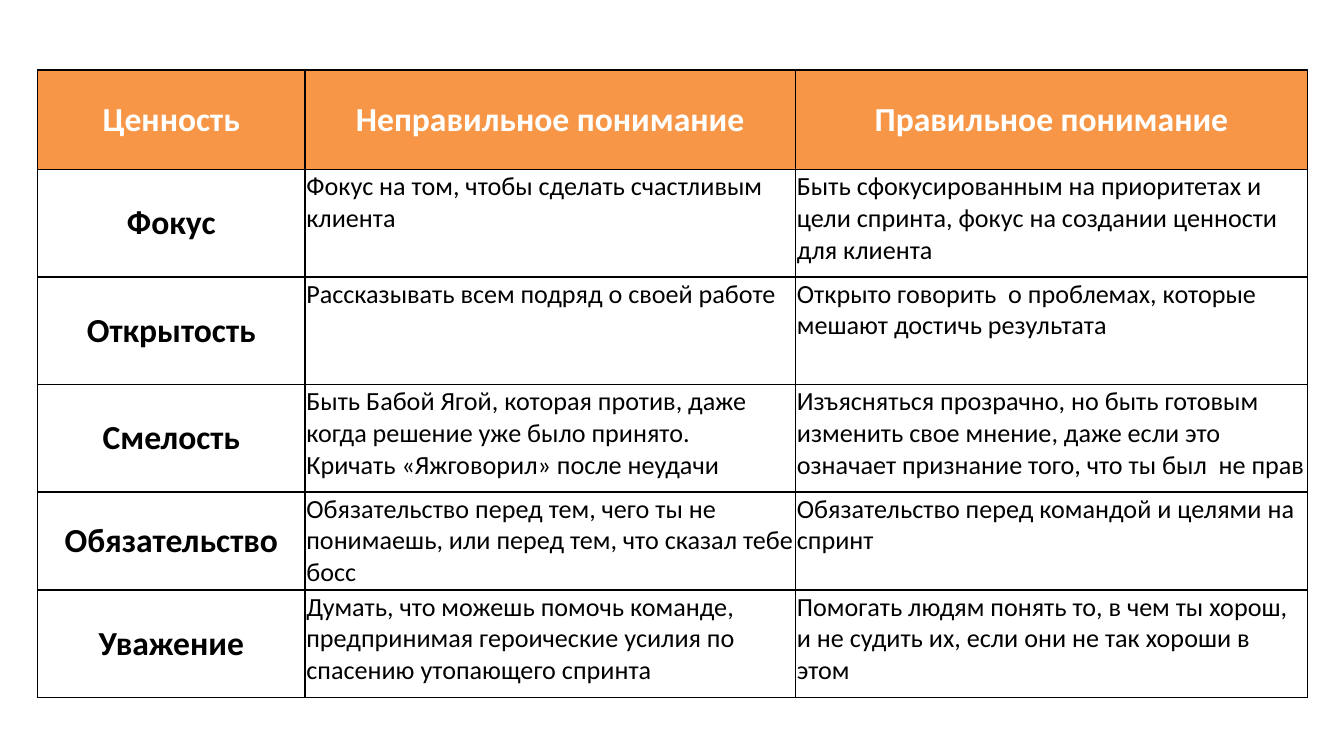
import pptx
import pptx.dml.color
import pptx.enum.text
import pptx.util
from lxml import etree
from pptx.oxml.ns import qn

Inches, Pt = pptx.util.Inches, pptx.util.Pt
RGBColor = pptx.dml.color.RGBColor
PP_ALIGN = pptx.enum.text.PP_ALIGN
MSO_ANCHOR = pptx.enum.text.MSO_ANCHOR

ORANGE = RGBColor(0xF7, 0x96, 0x46)
WHITE = RGBColor(0xFF, 0xFF, 0xFF)
BLACK = RGBColor(0x00, 0x00, 0x00)
FONT = "Calibri"

HEADERS = ("Ценность", "Неправильное понимание", "Правильное понимание")
VALUES = [
    ("Фокус",
     "Фокус на том, чтобы сделать счастливым клиента",
     "Быть сфокусированным на приоритетах и цели спринта, фокус на создании ценности для клиента"),
    ("Открытость",
     "Рассказывать всем подряд о своей работе",
     "Открыто говорить  о проблемах, которые мешают достичь результата"),
    ("Смелость",
     "Быть Бабой Ягой, которая против, даже когда решение уже было принято.\n"
     "Кричать «Яжговорил» после неудачи",
     "Изъясняться прозрачно, но быть готовым изменить свое мнение, даже если это означает "
     "признание того, что ты был  не прав"),
    ("Обязательство",
     "Обязательство перед тем, чего ты не понимаешь, или перед тем, что сказал тебе босс",
     "Обязательство перед командой и целями на спринт"),
    ("Уважение",
     "Думать, что можешь помочь команде, предпринимая героические усилия по спасению "
     "утопающего спринта",
     "Помогать людям понять то, в чем ты хорош, и не судить их, если они не так хороши в этом"),
]
COL_WIDTHS = (1.99, 3.65, 3.81)
ROW_HEIGHTS = (0.74, 0.8, 0.8, 0.8, 0.56, 0.8)


def add_borders(cell, color, width):
    tc_pr = cell._tc.get_or_add_tcPr()
    for i, side in enumerate(("a:lnL", "a:lnR", "a:lnT", "a:lnB")):
        ln = etree.Element(qn(side), w=str(Pt(width)))
        fill = etree.SubElement(ln, qn("a:solidFill"))
        etree.SubElement(fill, qn("a:srgbClr"), val=str(color))
        tc_pr.insert(i, ln)  # borders come before the cell fill


def fill_cell(cell, text, is_header, is_label):
    cell.margin_left = cell.margin_right = Inches(0.01)
    cell.margin_top = cell.margin_bottom = Inches(0.01)
    cell.vertical_anchor = MSO_ANCHOR.MIDDLE if is_label else MSO_ANCHOR.TOP
    cell.fill.solid()
    cell.fill.fore_color.rgb = ORANGE if is_header else WHITE
    add_borders(cell, BLACK, 1)
    cell.text_frame.text = text
    for p in cell.text_frame.paragraphs:
        p.alignment = PP_ALIGN.CENTER if is_label else PP_ALIGN.LEFT
        for r in p.runs:
            r.font.name = FONT
            r.font.size = Pt(18 if is_label else 14)
            r.font.bold = is_label
            r.font.color.rgb = WHITE if is_header else BLACK


def main():
    prs = pptx.Presentation()
    prs.slide_width, prs.slide_height = Inches(10), Inches(10 * 9 / 16)
    slide = prs.slides.add_slide(prs.slide_layouts[6])

    rows = [HEADERS] + VALUES
    table = slide.shapes.add_table(
        len(rows), len(HEADERS), Inches(0.28), Inches(0.52),
        Inches(sum(COL_WIDTHS)), Inches(sum(ROW_HEIGHTS))).table
    for column, width in zip(table.columns, COL_WIDTHS):
        column.width = Inches(width)
    for row, height in zip(table.rows, ROW_HEIGHTS):
        row.height = Inches(height)

    for i, texts in enumerate(rows):
        for j, text in enumerate(texts):
            fill_cell(table.cell(i, j), text, i == 0, i == 0 or j == 0)

    prs.save("out.pptx")


if __name__ == "__main__":
    main()
